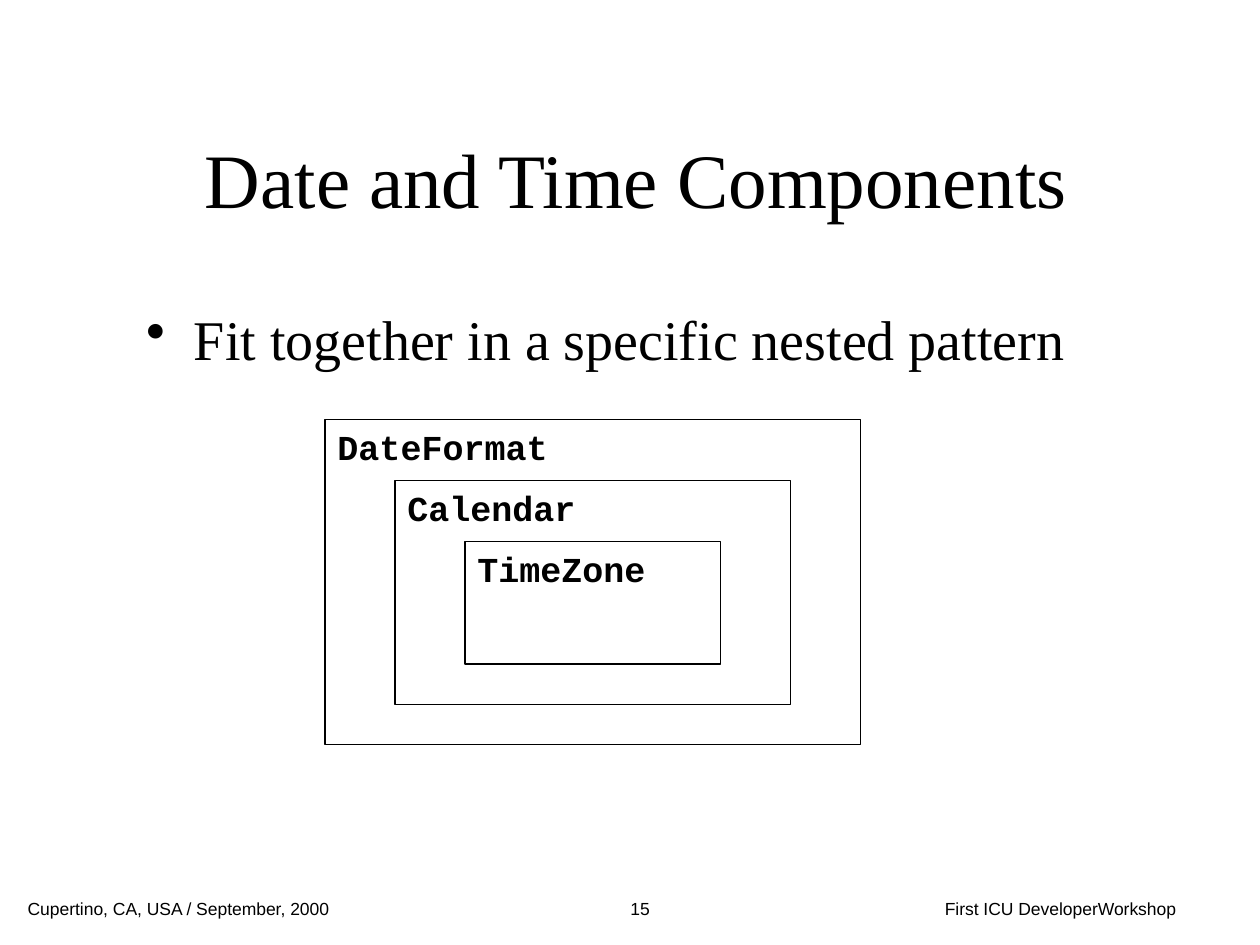
"""Build the slide on nested date and time components."""
from lxml.etree import SubElement
from pptx import Presentation
from pptx.dml.color import RGBColor
from pptx.enum.shapes import MSO_SHAPE
from pptx.enum.text import MSO_ANCHOR, PP_ALIGN
from pptx.oxml.ns import qn
from pptx.util import Inches, Pt

COLORS = {"ink": "000000", "paper": "FFFFFF"}


def write_text(shape, text, font="Arial", size=10, bold=False, align=PP_ALIGN.LEFT,
               anchor=MSO_ANCHOR.TOP, side=0.11, top=0.05, bullet=None):
    frame = shape.text_frame
    frame.word_wrap = True
    frame.vertical_anchor = anchor
    frame.margin_left = frame.margin_right = Inches(side)
    frame.margin_top = Inches(top)
    frame.margin_bottom = Inches(0.05)
    paragraph = frame.paragraphs[0]
    paragraph.text = text
    paragraph.alignment = align
    if bullet:
        properties = paragraph._p.get_or_add_pPr()
        properties.set("marL", str(Inches(0.38)))
        properties.set("indent", str(-Inches(0.38)))
        SubElement(properties, qn("a:buChar"), char=bullet)
    run_font = paragraph.runs[0].font
    run_font.name = font
    run_font.size = Pt(size)
    run_font.bold = bold
    run_font.color.rgb = RGBColor.from_string(COLORS["ink"])


presentation = Presentation()
presentation.slide_width = Inches(10)
presentation.slide_height = Inches(7.5)
slide = presentation.slides.add_slide(presentation.slide_layouts[6])

title = slide.shapes.add_textbox(Inches(1.01), Inches(0.99), Inches(8.08), Inches(0.84))
write_text(title, "Date and Time Components", font="Times New Roman", size=44,
           align=PP_ALIGN.CENTER, anchor=MSO_ANCHOR.MIDDLE)

body = slide.shapes.add_textbox(Inches(1.05), Inches(2.33), Inches(8.04), Inches(3.5))
write_text(body, "Fit together in a specific nested pattern", font="Times New Roman",
           size=32, top=0.09, bullet="•")

nested_boxes = slide.shapes.add_group_shape()
for level, name in enumerate(["DateFormat", "Calendar", "TimeZone"]):
    box = nested_boxes.shapes.add_shape(
        MSO_SHAPE.RECTANGLE,
        Inches(2.58 + 0.555 * level), Inches(3.33 + 0.485 * level),
        Inches(4.25 - 1.11 * level), Inches(2.58 - 0.805 * level))
    box.shadow.inherit = False
    box.fill.solid()
    box.fill.fore_color.rgb = RGBColor.from_string(COLORS["paper"])
    box.line.color.rgb = RGBColor.from_string(COLORS["ink"])
    box.line.width = Pt(0.75)
    write_text(box, name, font="Courier New", size=20, bold=True, side=0.1)

footers = [
    ("First ICU DeveloperWorkshop", 6.92, 2.99, 0.13, PP_ALIGN.CENTER),
    ("15", 4.08, 2, 0.17, PP_ALIGN.CENTER),
    ("Cupertino, CA, USA / September, 2000", 0.11, 2.8, 0.17, PP_ALIGN.LEFT),
]
for text, left, width, height, align in footers:
    footer = slide.shapes.add_textbox(Inches(left), Inches(7.08), Inches(width), Inches(height))
    write_text(footer, text, align=align)

presentation.save("out.pptx")
